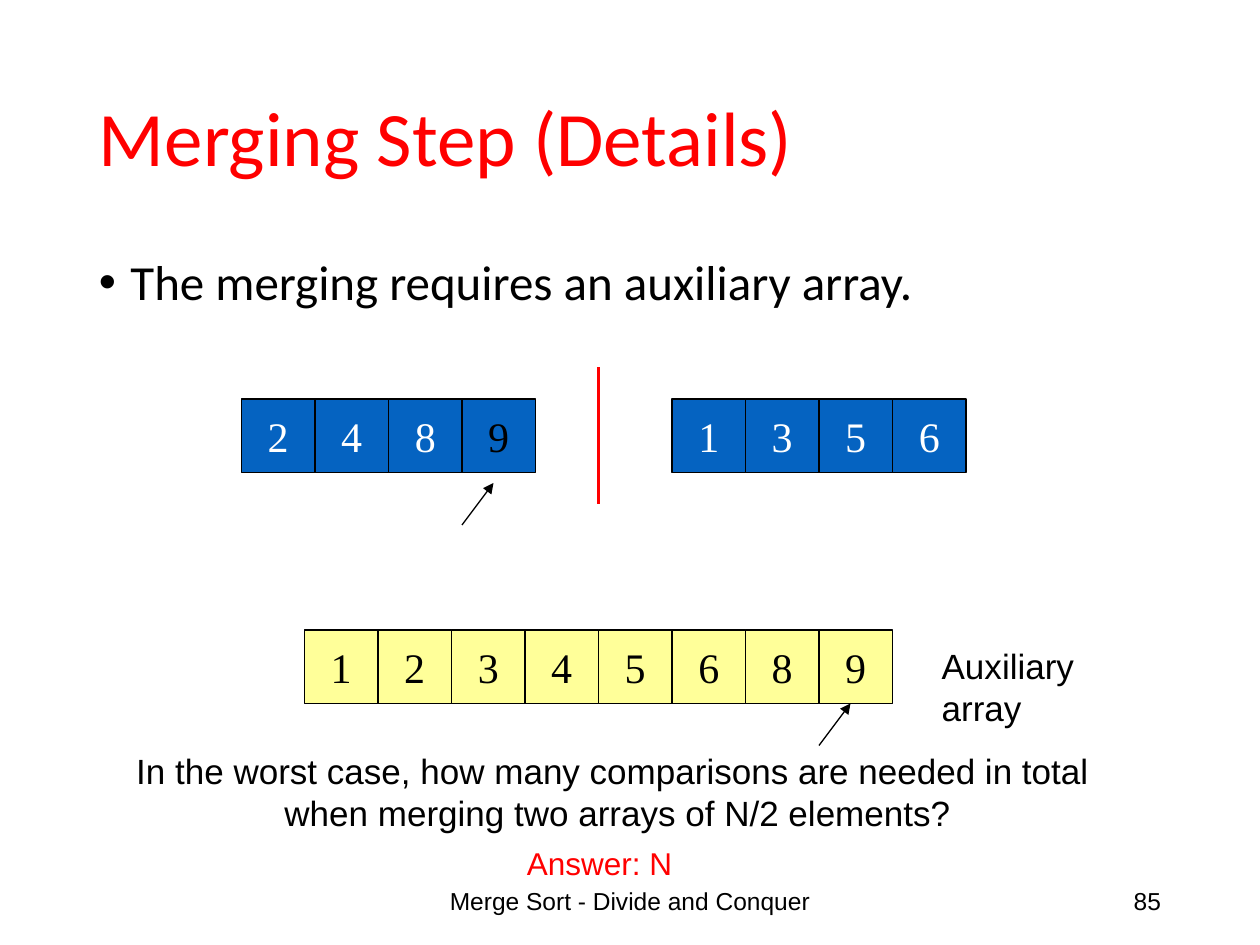
from lxml.etree import SubElement
from pptx import Presentation
from pptx.dml.color import RGBColor
from pptx.enum.shapes import MSO_CONNECTOR, MSO_SHAPE
from pptx.enum.text import MSO_ANCHOR as Anchor, PP_ALIGN as Align
from pptx.oxml.ns import qn
from pptx.util import Pt

BLACK = RGBColor(0x00, 0x00, 0x00)
WHITE = RGBColor(0xFF, 0xFF, 0xFF)
RED = RGBColor(0xFF, 0x00, 0x00)
BLUE = RGBColor(0x05, 0x63, 0xC1)
YELLOW = RGBColor(0xFF, 0xFF, 0x99)

CELL = 42


def write_run(paragraph, text, font, size, color):
    run = paragraph.add_run()
    run.text = text
    run.font.name = font
    run.font.size = Pt(size)
    run.font.color.rgb = color


def add_text(slide, box, lines, size, font="Arial", color=BLACK,
             align=Align.LEFT, anchor=Anchor.TOP, wrap=True):
    """Write one paragraph per line in a text box and return its text frame."""
    frame = slide.shapes.add_textbox(*map(Pt, box)).text_frame
    frame.word_wrap = wrap
    frame.vertical_anchor = anchor
    for index, line in enumerate(lines):
        paragraph = frame.add_paragraph() if index else frame.paragraphs[0]
        paragraph.alignment = align
        write_run(paragraph, line, font, size, color)
    return frame


def add_line(slide, start, end, color, width, arrow=False):
    line = slide.shapes.add_connector(MSO_CONNECTOR.STRAIGHT, *map(Pt, start + end))
    line.line.color.rgb = color
    line.line.width = Pt(width)
    if arrow:
        SubElement(line.line._get_or_add_ln(), qn("a:tailEnd"), type="triangle")
    SubElement(line._element.spPr, qn("a:effectLst"))


def add_pointer(slide, left, top):
    """Draw an arrow rising to the right within an 18 by 24 point box."""
    add_line(slide, (left, top + 24), (left + 18, top), BLACK, 0.75, arrow=True)


def add_array(slide, left, top, values, fill, colors):
    for index, (value, color) in enumerate(zip(values, colors)):
        cell = slide.shapes.add_shape(
            MSO_SHAPE.RECTANGLE, Pt(left + index * CELL), Pt(top), Pt(CELL), Pt(CELL))
        cell.shadow.inherit = False
        cell.fill.solid()
        cell.fill.fore_color.rgb = fill
        cell.line.color.rgb = BLACK
        cell.line.width = Pt(0.75)
        frame = cell.text_frame
        frame.word_wrap = False
        frame.vertical_anchor = Anchor.MIDDLE
        paragraph = frame.paragraphs[0]
        paragraph.alignment = Align.CENTER
        write_run(paragraph, str(value), "Times New Roman", 24, color)


def add_heading(slide, left, top, width):
    title = add_text(slide, (left, top, width, 104.4), ["Merging Step (Details)"],
                     44, "Calibri", RED, anchor=Anchor.MIDDLE)
    body = add_text(slide, (left, top + 115, width, 342.7),
                    ["The merging requires an auxiliary array."], 28, "Calibri")
    for frame in (title, body):
        frame.paragraphs[0].line_spacing = 0.9
    properties = body.paragraphs[0]._p.get_or_add_pPr()
    properties.set("marL", str(Pt(18)))
    properties.set("indent", str(Pt(-18)))
    SubElement(properties, qn("a:buFont"), typeface="Arial")
    SubElement(properties, qn("a:buChar"), char="•")


def add_sorted_halves(slide, left, top):
    add_array(slide, left, top, [2, 4, 8, 9], BLUE, [WHITE] * 3 + [BLACK])
    add_array(slide, left + 246, top, [1, 3, 5, 6], BLUE, [WHITE] * 4)
    add_line(slide, (left + 204, top - 18), (left + 204, top + 60), RED, 2.25)
    add_pointer(slide, left + 3 * CELL, top + 48)


def add_auxiliary_array(slide, left, top):
    values = [1, 2, 3, 4, 5, 6, 8, 9]
    add_array(slide, left, top, values, YELLOW, [BLACK] * len(values))
    add_text(slide, (left + 357, top + 5, 141, 31), ["Auxiliary array"], 20, wrap=False)
    add_pointer(slide, left + 7 * CELL, top + CELL)


def add_question(slide, left, top):
    add_text(slide, (left, top, 568, 55.4),
             ["In the worst case, how many comparisons are needed in total ",
              "when merging two arrays of N/2 elements?"],
             20, align=Align.CENTER, wrap=False)
    add_text(slide, (left + 225, top + 54, 360, 29), ["Answer: N"], 18, color=RED)


def add_footer(slide, top):
    add_text(slide, (238.5, top, 243, 28.8), ["Merge Sort - Divide and Conquer"],
             14, align=Align.CENTER, anchor=Anchor.MIDDLE)
    add_text(slide, (508.5, top, 162, 28.8), ["85"],
             14, align=Align.RIGHT, anchor=Anchor.MIDDLE)


def main():
    presentation = Presentation()
    presentation.slide_width = Pt(720)
    presentation.slide_height = Pt(540)
    slide = presentation.slides.add_slide(presentation.slide_layouts[6])
    add_footer(slide, 500.5)
    add_heading(slide, 49.5, 28.8, 621)
    add_sorted_halves(slide, 138, 228)
    add_auxiliary_array(slide, 174, 360)
    add_question(slide, 69, 425)
    presentation.save("out.pptx")


if __name__ == "__main__":
    main()
